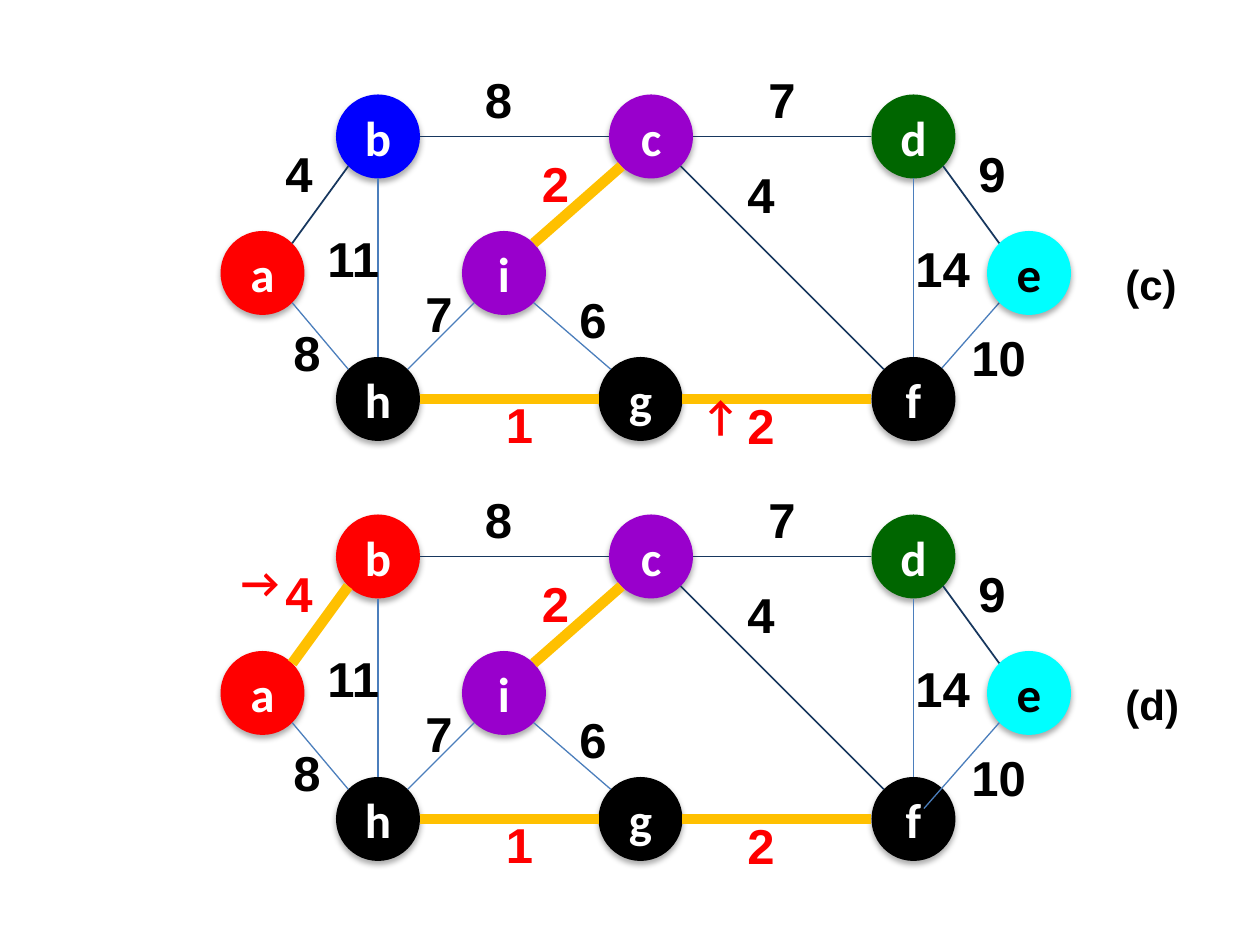
"""Build a slide with two steps of a minimum spanning tree search on a weighted graph."""
from math import sqrt

from lxml import etree
from pptx import Presentation
from pptx.dml import color
from pptx.enum import shapes, text
from pptx.oxml import ns
from pptx.util import Pt

DIAMETER = 48
STEP_GAP = 240
BLACK, WHITE, RED = "000000", "FFFFFF", "FF0000"
DARK, LIGHT, TREE = ("17375E", 1), ("4B7EBC", 0.75), ("FFC000", 6)

NODES = {
    "b": (216, 78), "c": (372, 78), "d": (522, 78),
    "a": (150, 156), "i": (288, 156), "e": (588, 156),
    "h": (216, 228), "g": (366, 228), "f": (522, 228),
}
EDGES = [
    ("bc", DARK, "8", (270, 36, 36)),
    ("cd", DARK, "7", (432, 36, 36)),
    ("gf", LIGHT, "2", (420, 222.5, 48)),
    ("hg", LIGHT, "1", (282, 222, 48)),
    ("df", LIGHT, "14", (516, 132.5, 48)),
    ("bh", LIGHT, "11", (180, 127, 48)),
    ("ba", DARK, "4", (156, 78.5, 36)),
    ("de", DARK, "9", (552, 78.5, 36)),
    ("ah", LIGHT, "8", (160.5, 181, 48)),
    ("ef", LIGHT, "10", (548, 183.5, 48)),
    ("ci", DARK, "2", (302.5, 84, 48)),
    ("ih", LIGHT, "7", (236, 158.5, 48)),
    ("ig", LIGHT, "6", (324, 162, 48)),
    ("cf", DARK, "4", (420, 90.5, 48)),
]
COLOURS = {"a": RED, "b": "0000FF", "c": "9900CC", "i": "9900CC", "d": "006600",
           "e": "00FFFF", "f": BLACK, "g": BLACK, "h": BLACK}
STEPS = [
    {"caption": "(c)", "tree": {"gf", "hg", "ci"}, "colours": COLOURS,
     "behind": {"ef"}, "arrow": (393, 224.5), "turn": 90},
    {"caption": "(d)", "tree": {"gf", "hg", "ci", "ba"}, "colours": {**COLOURS, "b": RED},
     "behind": set(), "arrow": (124.5, 318.5), "turn": 180},
]


def rgb(value):
    return color.RGBColor.from_string(value)


def write(shape, words, size, font, colour):
    para = shape.text_frame.paragraphs[0]
    span = para.add_run()
    span.text = words
    span.font.size = Pt(size)
    span.font.name = font
    span.font.bold = True
    span.font.color.rgb = rgb(colour)
    return para


def add_label(parent, words, place, size, font, colour):
    box = parent.add_textbox(*map(Pt, place))
    box.text_frame.word_wrap = True
    box.text_frame.auto_size = text.MSO_AUTO_SIZE.SHAPE_TO_FIT_TEXT
    write(box, words, size, font, colour)
    return box


def add_effects(shape):
    return etree.SubElement(shape._element.spPr, ns.qn("a:effectLst"))


def add_shadow(shape):
    shadow = etree.SubElement(add_effects(shape), ns.qn("a:outerShdw"), blurRad=str(Pt(3.5)),
                              dist=str(Pt(2.2)), dir="5400000", rotWithShape="0")
    tint = etree.SubElement(shadow, ns.qn("a:srgbClr"), val=BLACK)
    etree.SubElement(tint, ns.qn("a:alpha"), val="32000")


def add_node(parent, name, fill, drop):
    x, y = NODES[name]
    radius = DIAMETER / 2
    node = parent.add_shape(shapes.MSO_SHAPE.OVAL, Pt(x - radius), Pt(y - radius + drop),
                            Pt(DIAMETER), Pt(DIAMETER))
    node.fill.solid()
    node.fill.fore_color.rgb = rgb(fill)
    node.line.fill.background()
    add_shadow(node)
    node.text_frame.vertical_anchor = text.MSO_ANCHOR.MIDDLE
    para = write(node, name, 28, "Calibri", BLACK if name == "e" else WHITE)
    para.alignment = text.PP_ALIGN.CENTER


def rim_point(name, other):
    """Return the nearest of the eight rim sites facing the other node."""
    (x, y), (other_x, other_y) = NODES[name], NODES[other]
    across = (other_x > x) - (other_x < x)
    down = (other_y > y) - (other_y < y)
    reach = DIAMETER / 2 / sqrt(abs(across) + abs(down))
    return x + across * reach, y + down * reach


def add_edge(parent, pair, style, drop):
    start, end = rim_point(*pair), rim_point(*reversed(pair))
    if pair == "ef":
        end = NODES["f"][0] + 6, NODES["f"][1] - 6
    edge = parent.add_connector(shapes.MSO_CONNECTOR.STRAIGHT, Pt(start[0]), Pt(start[1] + drop),
                                Pt(end[0]), Pt(end[1] + drop))
    edge.line.color.rgb = rgb(style[0])
    edge.line.width = Pt(style[1])
    add_effects(edge)


def add_step(page, step, drop):
    graph = page.shapes.add_group_shape().shapes
    styles = {pair: TREE if pair in step["tree"] else style for pair, style, _, _ in EDGES}
    for pair in step["behind"]:
        add_edge(graph, pair, styles[pair], drop)
    for name in NODES:
        add_node(graph, name, step["colours"][name], drop)
    for pair, style in styles.items():
        if pair not in step["behind"]:
            add_edge(graph, pair, style, drop)
    for pair, _, weight, (left, top, width) in EDGES:
        colour = RED if pair in step["tree"] else BLACK
        add_label(graph, weight, (left, top + drop, width, 41), 28, "Arial", colour)
    arrow = add_label(page.shapes, "←", (*step["arrow"], 42, 36), 24, "Calibri", RED)
    arrow.rotation = step["turn"]
    add_label(page.shapes, step["caption"], (636, 144 + drop, 60, 36), 24, "Arial", BLACK)


def main():
    deck = Presentation()
    deck.slide_width, deck.slide_height = Pt(720), Pt(540)
    page = deck.slides.add_slide(deck.slide_layouts[6])
    for index, step in enumerate(STEPS):
        add_step(page, step, index * STEP_GAP)
    deck.save("out.pptx")


if __name__ == "__main__":
    main()
